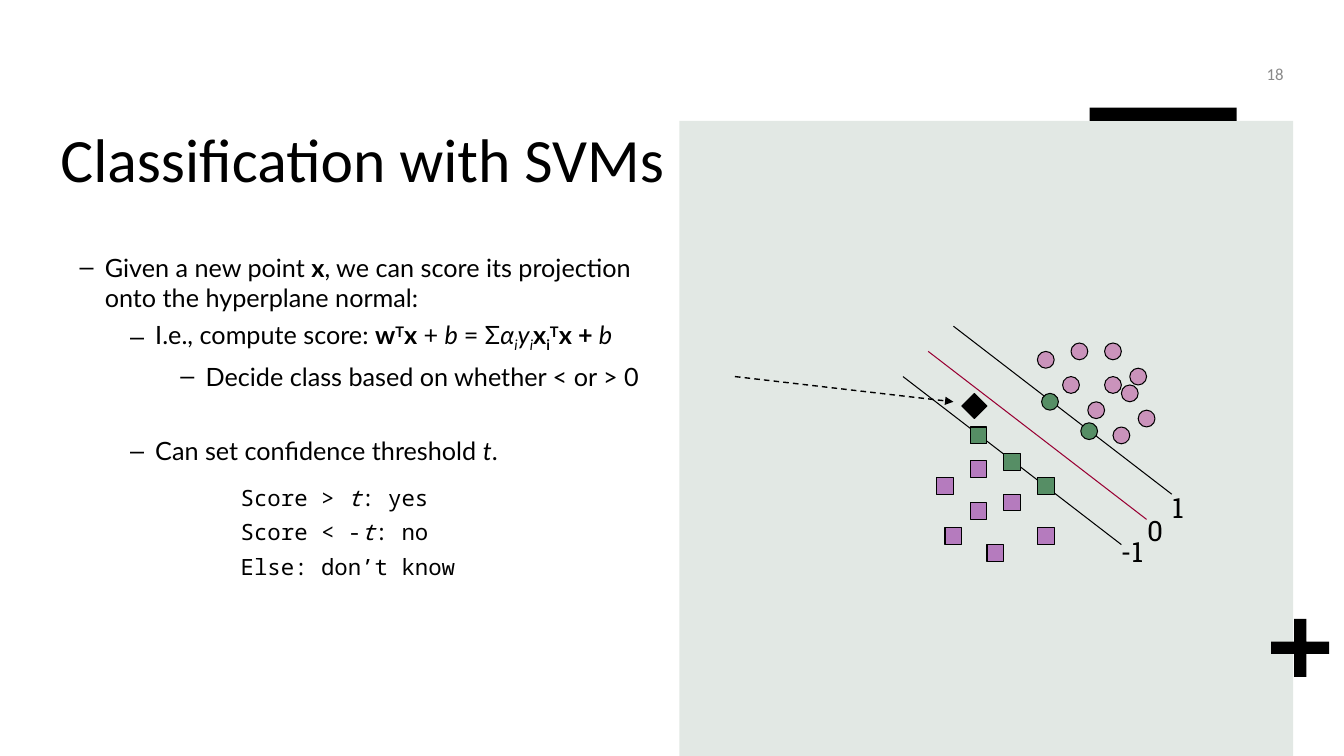
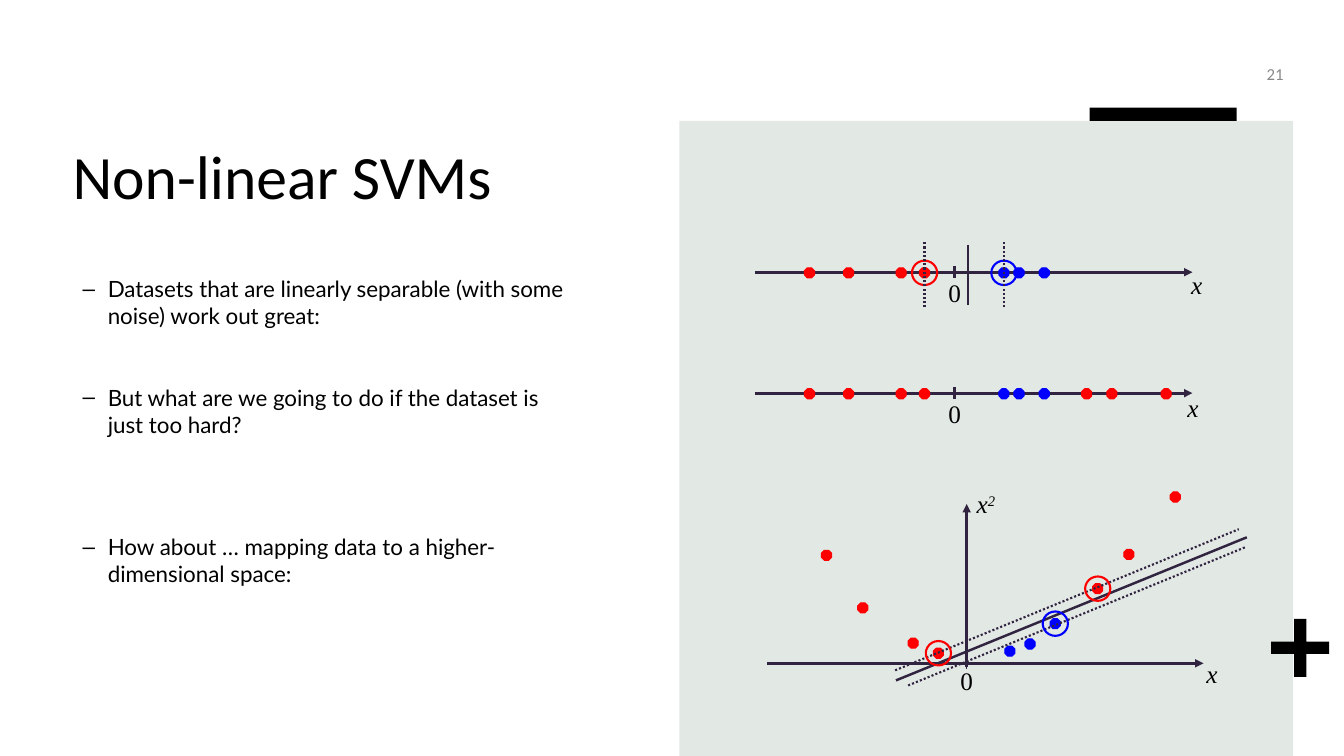
from lxml.etree import SubElement
from pptx import Presentation
from pptx.dml.color import RGBColor as RGB
from pptx.enum.dml import MSO_LINE as DASH
from pptx.enum.shapes import MSO_CONNECTOR as CONN, MSO_SHAPE as SHAPE
from pptx.enum.text import MSO_ANCHOR as ANCHOR, MSO_AUTO_SIZE as FIT, PP_ALIGN as ALIGN
from pptx.oxml.ns import qn
from pptx.util import Pt

COLORS = {
    "black": "000000", "panel": "E2E8E4", "number": "898989",
    "pink": "CA93BB", "purple": "B57BBE", "green": "568E65", "crimson": "990033",
    "axis": "312441", "red": "FF0000", "blue": "0000FF",
}
TITLE, BODY, NUMBER = "Calibri", "Lato", "Calibri"
MONO, SLAB, SERIF = "Noto Sans Mono", "Roboto Slab", "Times New Roman"


def color(name):
    return RGB.from_string(COLORS[name])


class Deck:
    def __init__(self):
        self.prs = Presentation()
        self.prs.slide_width, self.prs.slide_height = Pt(960), Pt(540)
        self.s = None

    def slide(self, number, title, left, top):
        self.s = self.prs.slides.add_slide(self.prs.slide_layouts[1])
        self.shape(SHAPE.RECTANGLE, 485.3, 86.4, 438.4, 453.6, "panel")
        self.shape(SHAPE.CROSS, 908, 442, 41.5, 41.5, "black", adj=0.395)
        self.shape(SHAPE.RECTANGLE, 778.4, 77, 105, 9.4, "black")
        self.text(852, 40.3, 72, 24.5, [[(number, "")]], NUMBER, 12, "number",
                  align=ALIGN.RIGHT, anchor=ANCHOR.MIDDLE)
        tf = self.frame(self.s.shapes.title, left, top, 651, 113.8)
        tf.paragraphs[0].alignment = ALIGN.LEFT
        self.runs(tf.paragraphs[0], [(title, "")], TITLE, 44)

    def frame(self, sp, left, top, width, height, anchor=ANCHOR.TOP, wrap=True):
        sp.left, sp.top, sp.width, sp.height = Pt(left), Pt(top), Pt(width), Pt(height)
        tf = sp.text_frame
        tf.auto_size, tf.word_wrap, tf.vertical_anchor = FIT.NONE, wrap, anchor
        return tf

    def runs(self, p, parts, font, size, ink="black"):
        for text, style in parts:
            r = p.add_run()
            r.text = text
            f = r.font
            f.name, f.size, f.color.rgb = font, Pt(size), color(ink)
            f.bold, f.italic = "b" in style, "i" in style
            for mark, shift in (("^", "30000"), ("_", "-25000")):
                if mark in style:
                    f._element.set("baseline", shift)

    def paragraphs(self, tf, count):
        return [tf.paragraphs[0]] + [tf.add_paragraph() for _ in range(count - 1)]

    def body(self, left, top, width, height, size, items):
        tf = self.frame(self.s.placeholders[1], left, top, width, height)
        for p, (level, before, parts) in zip(self.paragraphs(tf, len(items)), items):
            p.level, p.space_before = level, Pt(before)
            pPr = p._p.get_or_add_pPr()
            pPr.set("marL", str(Pt(18 + 36 * level)))
            pPr.set("indent", str(Pt(-18)))
            SubElement(pPr, qn("a:buChar")).set("char", "–")
            self.runs(p, parts, BODY, size)

    def text(self, left, top, width, height, lines, font, size, ink="black",
             before=0, align=ALIGN.LEFT, anchor=ANCHOR.TOP, wrap=True):
        sp = self.s.shapes.add_textbox(0, 0, 0, 0)
        tf = self.frame(sp, left, top, width, height, anchor, wrap)
        for p, parts in zip(self.paragraphs(tf, len(lines)), lines):
            p.alignment, p.space_before = align, Pt(before)
            self.runs(p, parts, font, size, ink)

    def label(self, left, top, *parts):
        self.text(left, top, 36, 28.8, [parts], SERIF, 18)

    def shape(self, kind, left, top, width, height, fill=None, line=None, weight=0.75, adj=None):
        sp = self.s.shapes.add_shape(kind, Pt(left), Pt(top), Pt(width), Pt(height))
        sp.shadow.inherit = False
        if adj is not None:
            sp.adjustments[0] = adj
        if fill:
            sp.fill.solid()
            sp.fill.fore_color.rgb = color(fill)
        else:
            sp.fill.background()
        if line:
            sp.line.color.rgb, sp.line.width = color(line), Pt(weight)
        else:
            sp.line.fill.background()

    def markers(self, kind, fill, points, size=12):
        for left, top in points:
            self.shape(kind, left, top, size, size, fill, "black")

    def dots(self, ink, points):
        for x, y in points:
            self.shape(SHAPE.OCTAGON, x - 3.6, y - 3.6, 7.2, 7.2, ink, ink, adj=0.293)

    def rings(self, ink, points):
        for x, y in points:
            self.shape(SHAPE.OVAL, x - 9, y - 8.7, 18, 17.4, line=ink, weight=1.5)

    def line(self, x1, y1, x2, y2, ink="axis", weight=1.5, dash=None, arrow=False):
        c = self.s.shapes.add_connector(CONN.STRAIGHT, Pt(x1), Pt(y1), Pt(x2), Pt(y2))
        c.line.color.rgb, c.line.width = color(ink), Pt(weight)
        if dash:
            c.line.dash_style = dash
        spPr = c.element.spPr
        if arrow:
            SubElement(spPr.find(qn("a:ln")), qn("a:tailEnd")).set("type", "triangle")
        SubElement(spPr, qn("a:effectLst"))

    def number_line(self, y, red, blue, x_left, x_top):
        self.line(539.3, y, 851.8, y, weight=2, arrow=True)
        self.line(681.8, y - 4.3, 681.8, y + 4.3)
        self.label(670.3, y, ("0", ""))
        self.label(x_left, x_top, ("x", "i"))
        for ink, xs in (("red", red), ("blue", blue)):
            self.dots(ink, [(x, y + 0.5) for x in xs])


def classification(d):
    d.slide("18", "Classification with SVMs", 36, 82.8)
    d.body(49.7, 176.4, 427, 251.3, 18, [
        (0, 10, [("Given a new point ", ""), ("x", "b"),
                 (", we can score its projection onto the hyperplane normal:", "")]),
        (1, 5, [("I.e., compute score: ", ""), ("w", "b"), ("T", "b^"), ("x", "b"),
                (" + ", ""), ("b ", "i"), ("= Σ", ""), ("α", "i"), ("i", "i_"),
                ("y", "i"), ("i", "i_"), ("x", "b"), ("i", "b_"), ("T", "b^"),
                ("x + ", "b"), ("b", "i")]),
        (2, 5, [("Decide class based on whether < or > 0", "")]),
        (1, 31.6, [("Can set confidence threshold ", ""), ("t", "i"), (".", "")]),
    ])
    d.markers(SHAPE.OVAL, "pink", [
        (765, 245), (789, 269), (777, 287), (813, 293), (795, 305),
        (789, 245), (741, 251), (801, 275), (807, 263), (759, 269)])
    d.markers(SHAPE.RECTANGLE, "purple", [
        (693, 329), (705, 389), (717, 353), (741, 377), (669, 341), (693, 359), (675, 377)])
    for x, y, ink in ((663, 251, "crimson"), (681, 233, "black"), (645, 269, "black")):
        d.line(x, y, x + 156, y + 120, ink, 0.75)
    d.markers(SHAPE.OVAL, "green", [(744, 281), (772, 302)])
    d.markers(SHAPE.RECTANGLE, "green", [(717, 324), (741, 341), (693, 305)])
    d.markers(SHAPE.DIAMOND, "black", [(687, 281)], 18)
    for text, left, top, width in (("-1", 793.4, 378, 32.4), ("0", 812.2, 363.6, 25.2),
                                   ("1", 830.2, 347, 25.2)):
        d.text(left, top, width, 31, [[(text, "")]], SLAB, 20, wrap=False)
    d.line(525, 269, 681, 287, "black", 1, DASH.DASH, arrow=True)
    d.text(164.9, 342, 228.2, 85, [
        [("Score > ", ""), ("t", "i"), (": yes", "")],
        [("Score < -", ""), ("t", "i"), (": no", "")],
        [("Else: don’t know", "")],
    ], MONO, 16, before=5.4)


def non_linear(d):
    d.slide("21", "Non-linear SVMs", 44.6, 95)
    d.body(51.8, 193, 369.4, 298.8, 16, [
        (0, before, [(text, "")]) for before, text in (
            (10, "Datasets that are linearly separable (with some noise) work out great:"),
            (39.2, "But what are we going to do if the dataset is just too hard?"),
            (68.4, "How about … mapping data to a higher-dimensional space:"))])

    left_red, blue = [578.2, 606.2, 643.7, 660.4], [717.1, 727.9, 745.9]
    right_red = [776.2, 794.2, 833]
    y = 194.4
    d.number_line(y, left_red, blue, 843.8, 188.6)
    d.line(691.2, 175, 691.2, 218.2)
    for ink, x in (("red", left_red[-1]), ("blue", blue[0])):
        d.rings(ink, [(x, y + 0.5)])
        d.line(x, 219.6, x, 172.8, dash=DASH.ROUND_DOT)
    d.number_line(280.8, left_red + right_red, blue, 841, 276.5)

    d.line(547.9, 473.8, 859.7, 473.8, weight=2, arrow=True)
    d.line(690.5, 476.6, 690.5, 360, weight=2, arrow=True)
    d.line(690.5, 469.4, 690.5, 478.1, weight=0.75)
    d.label(679, 471.6, ("0", ""))
    d.label(690.5, 345.6, ("x", "i"), ("2", "i^"))
    d.label(854.6, 466.6, ("x", "i"))
    red_support, blue_support = [(670.3, 466.6), (784.1, 420.5)], [(753.8, 445.5)]
    d.dots("red", red_support + [(590.4, 396.7), (616.3, 434.2), (652.3, 459.4),
                                 (806.4, 396), (839.5, 355)])
    d.dots("blue", blue_support + [(735.8, 460), (721.4, 465.1)])
    d.line(640, 486, 890.6, 383.8, weight=1.75)
    d.line(639.4, 478.8, 884.9, 378, dash=DASH.ROUND_DOT)
    d.line(648.7, 489.6, 889.2, 391, dash=DASH.ROUND_DOT)
    d.rings("red", red_support)
    d.rings("blue", blue_support)


def main():
    d = Deck()
    classification(d)
    non_linear(d)
    d.prs.save("out.pptx")


if __name__ == "__main__":
    main()
